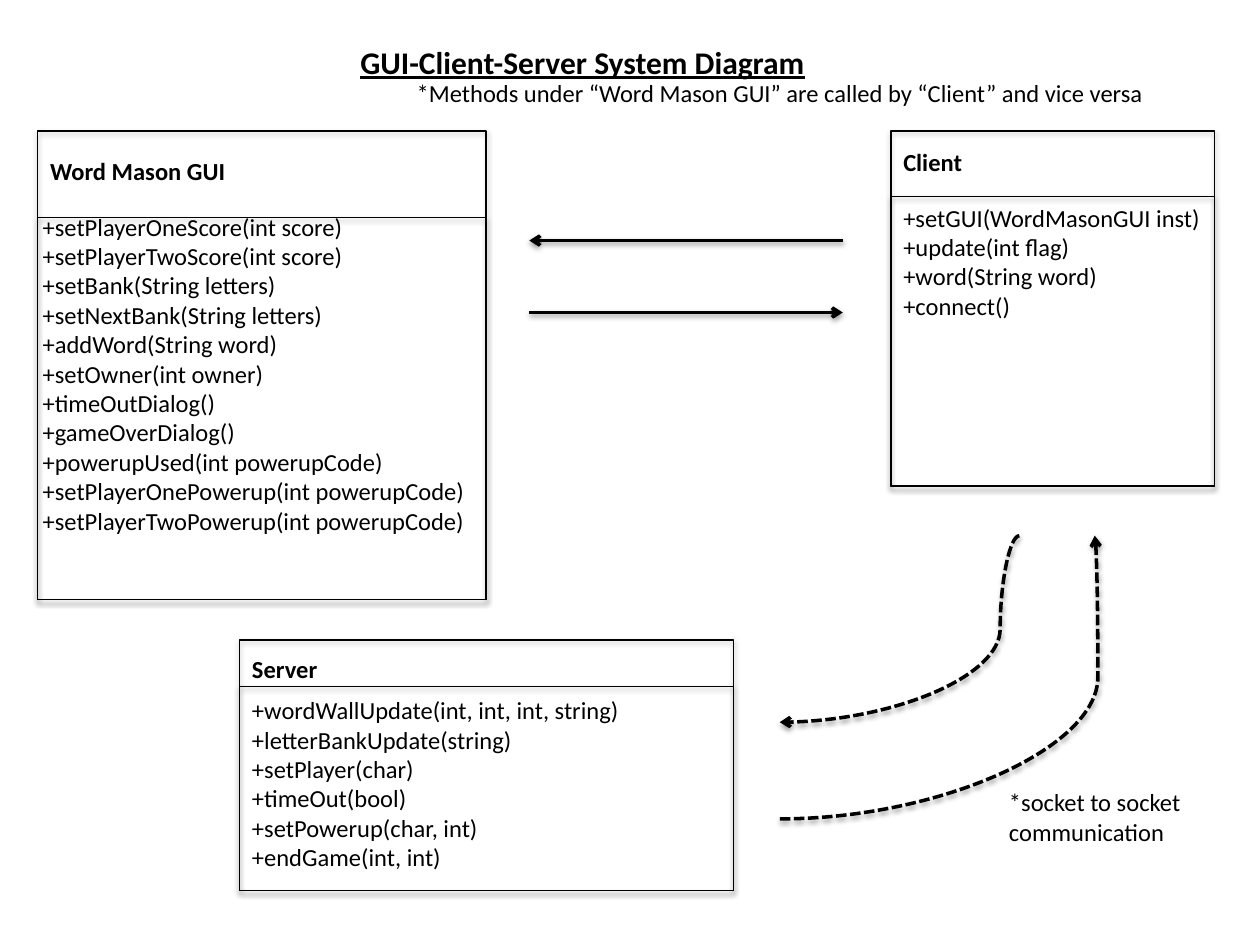
import pptx
import pptx.dml.color
import pptx.enum.dml
import pptx.enum.shapes
import pptx.enum.text
import pptx.oxml
import pptx.oxml.ns
import pptx.util

Cm = pptx.util.Cm
Pt = pptx.util.Pt
INK = "000000"
FONT = "Calibri"


def color(hex_code):
    return pptx.dml.color.RGBColor.from_string(hex_code)


def cast_shadow(shape, opacity, distance):
    """Put a soft downward shadow on a shape or connector whose line is already set."""
    shape._element.spPr.append(pptx.oxml.parse_xml(
        f'<a:effectLst {pptx.oxml.ns.nsdecls("a")}>'
        f'<a:outerShdw blurRad="{Pt(3.1)}" dist="{Pt(distance)}" dir="5400000" rotWithShape="0">'
        f'<a:srgbClr val="{INK}"><a:alpha val="{opacity * 1000}"/></a:srgbClr>'
        '</a:outerShdw></a:effectLst>'))


def write_lines(frame, lines, size=14, bold=False, underline=None, wrap=True):
    frame.word_wrap = wrap
    frame.auto_size = pptx.enum.text.MSO_AUTO_SIZE.NONE
    frame.vertical_anchor = pptx.enum.text.MSO_ANCHOR.TOP
    for index, line in enumerate(lines):
        paragraph = frame.add_paragraph() if index else frame.paragraphs[0]
        paragraph.alignment = pptx.enum.text.PP_ALIGN.LEFT
        run = paragraph.add_run()
        run.text = line
        run.font.name = FONT
        run.font.size = Pt(size)
        run.font.bold = bold
        run.font.underline = underline
        run.font.color.rgb = color(INK)


def add_text(slide, left, top, width, height, lines, **style):
    label = slide.shapes.add_textbox(Cm(left), Cm(top), Cm(width), Cm(height))
    write_lines(label.text_frame, lines, **style)


def add_frame(slide, left, top, width, height):
    frame = slide.shapes.add_shape(
        pptx.enum.shapes.MSO_SHAPE.RECTANGLE, Cm(left), Cm(top), Cm(width), Cm(height))
    frame.fill.background()
    frame.line.color.rgb = color(INK)
    frame.line.width = Pt(0.75)
    cast_shadow(frame, 35, 1.8)


def add_class_box(slide, box, header, name, name_drop, methods, shift=(0, 0)):
    """Draw a class: a frame, a second frame below its header, its name and its methods."""
    left, top, width, height = box
    body_top = top + header
    add_frame(slide, left, top, width, height)
    add_frame(slide, left, body_top, width, height - header)
    add_text(slide, left, top + name_drop, 5.3, 0.86, [name], bold=True)
    add_text(slide, left + shift[0], body_top + shift[1], width + 0.5,
             0.25 + 0.6 * len(methods), methods, wrap=False)


def add_arrow(slide, start, end, bend=None):
    """Draw an arrow; with a bend (share of its width) it is curved and dashed."""
    kinds = pptx.enum.shapes.MSO_CONNECTOR
    arrow = slide.shapes.add_connector(
        kinds.STRAIGHT if bend is None else kinds.CURVE,
        Cm(start[0]), Cm(start[1]), Cm(end[0]), Cm(end[1]))
    arrow.line.color.rgb = color(INK)
    arrow.line.width = Pt(2)
    if bend is not None:
        arrow.line.dash_style = pptx.enum.dml.MSO_LINE.SQUARE_DOT
        guides = arrow._element.spPr.find(".//" + pptx.oxml.ns.qn("a:avLst"))
        guides.append(pptx.oxml.parse_xml(
            f'<a:gd {pptx.oxml.ns.nsdecls("a")} name="adj1" fmla="val {round(bend * 100000)}"/>'))
    arrow.line._get_or_add_ln().append(pptx.oxml.parse_xml(
        f'<a:tailEnd {pptx.oxml.ns.nsdecls("a")} type="arrow"/>'))
    cast_shadow(arrow, 38, 1.6)


def add_heading(slide, left, top, width, height):
    title = slide.shapes.title
    title.left, title.top, title.width, title.height = map(Cm, (left, top, width, height))
    write_lines(title.text_frame, ["GUI-Client-Server System Diagram"],
                size=18, bold=True, underline=True, wrap=False)
    add_text(slide, left + 1.14, top + 0.71, 16.79, 0.86,
             ["*Methods under “Word Mason GUI” are called by “Client” and vice versa"])


def add_gui_client_calls(slide, left, top, width, gap):
    right = left + width
    add_arrow(slide, (right, top), (left, top))
    add_arrow(slide, (left, top + gap), (right, top + gap))


def add_socket_link(slide, left, top, width, height):
    add_arrow(slide, (left, top + height), (left + width, top), bend=1.01)
    add_arrow(slide, (left + 4.83, top), (left, top + 3.76), bend=0.08)
    add_text(slide, left + 4.37, top + 4.95, 5.3, 1.45, ["*socket to socket communication"])


def main():
    deck = pptx.Presentation()
    deck.slide_width, deck.slide_height = Cm(25.4), Cm(19.05)
    slide = deck.slides.add_slide(deck.slide_layouts.get_by_name("Title Only"))

    add_heading(slide, 7.01, 0.74, 9.55, 1.02)
    add_class_box(slide, (0.76, 2.64, 9.04, 9.45), 1.75, "Word Mason GUI", 0.38, [
        "+setPlayerOneScore(int score)",
        "+setPlayerTwoScore(int score)",
        "+setBank(String letters)",
        "+setNextBank(String letters)",
        "+addWord(String word)",
        "+setOwner(int owner)",
        "+timeOutDialog()",
        "+gameOverDialog()",
        "+powerupUsed(int powerupCode)",
        "+setPlayerOnePowerup(int powerupCode)",
        "+setPlayerTwoPowerup(int powerupCode)",
    ], shift=(-0.15, -0.25))
    add_class_box(slide, (17.96, 2.64, 6.53, 7.16), 1.32, "Client", 0.2, [
        "+setGUI(WordMasonGUI inst)",
        "+update(int flag)",
        "+word(String word)",
        "+connect()",
    ])
    add_class_box(slide, (4.83, 12.9, 9.96, 5.05), 0.94, "Server", 0.15, [
        "+wordWallUpdate(int, int, int, string)",
        "+letterBankUpdate(string)",
        "+setPlayer(char)",
        "+timeOut(bool)",
        "+setPowerup(char, int)",
        "+endGame(int, int)",
    ], shift=(0, 0.05))
    add_gui_client_calls(slide, 10.67, 4.85, 6.32, 1.45)
    add_socket_link(slide, 15.72, 10.8, 6.35, 5.71)

    deck.save("out.pptx")


if __name__ == "__main__":
    main()
